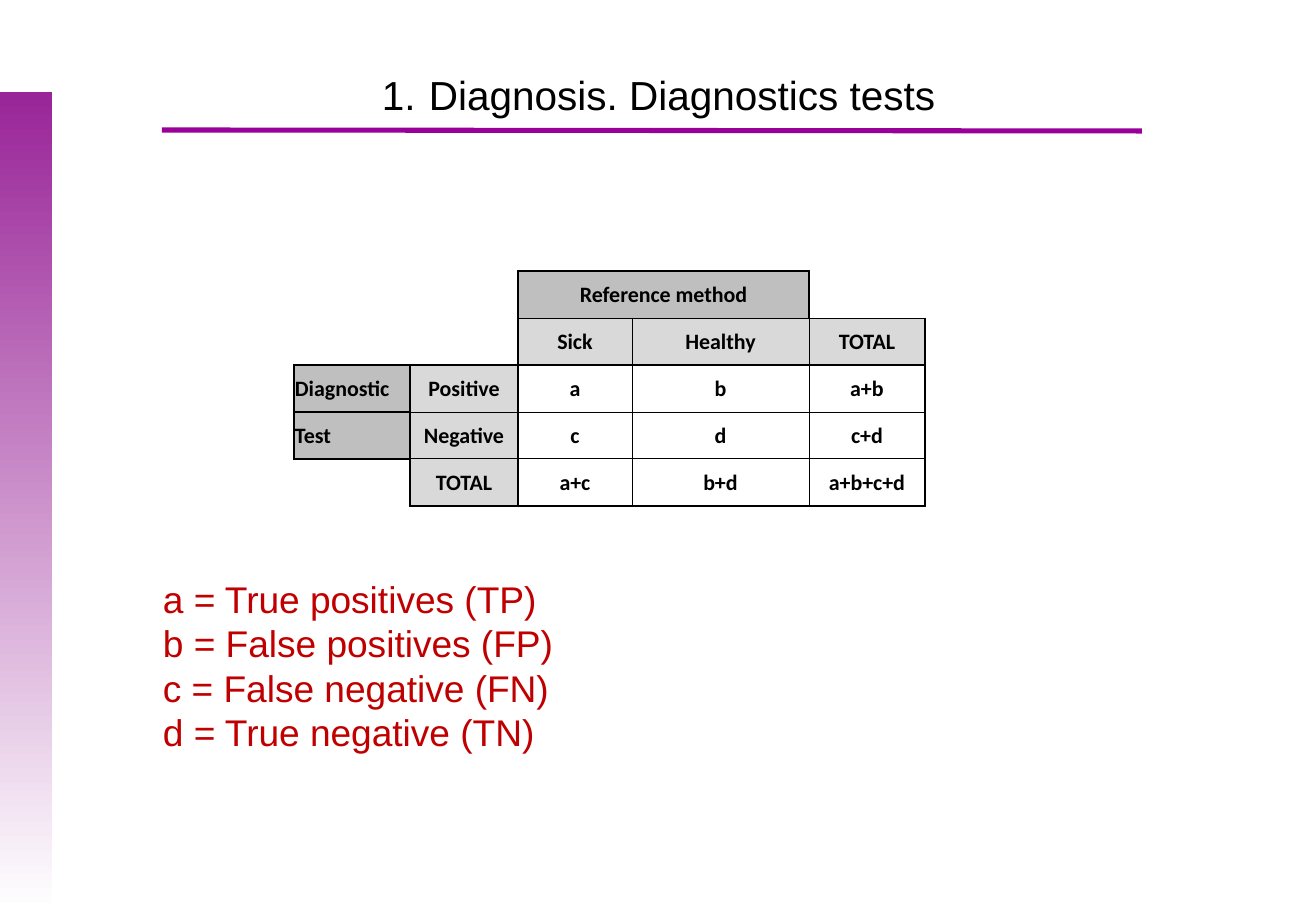
from dataclasses import dataclass

from lxml.etree import SubElement
from pptx import Presentation
from pptx.dml.color import RGBColor
from pptx.enum.shapes import MSO_CONNECTOR, MSO_SHAPE
from pptx.enum.text import MSO_ANCHOR, MSO_AUTO_SIZE, PP_ALIGN
from pptx.oxml.ns import qn
from pptx.slide import Slide
from pptx.table import _Cell
from pptx.text.text import TextFrame
from pptx.util import Emu, Pt

EMU_PER_PX = 7526
BLACK, WHITE, RED = "000000", "FFFFFF", "C00000"
PURPLE, RULE_PURPLE = "992598", "990099"
DARK_GREY, LIGHT_GREY = "BFBFBF", "D9D9D9"
NO_GRID_STYLE = "{2D5ABB26-0587-4C30-8999-92F81FD0307C}"

COLUMN_WIDTHS = (116, 108, 114, 177, 116)
ROW_HEIGHT = 47
CONTINGENCY = (
    ("", "", "Reference method", "", ""),
    ("", "", "Sick", "Healthy", "TOTAL"),
    ("Diagnostic", "Positive", "a", "b", "a+b"),
    ("Test", "Negative", "c", "d", "c+d"),
    ("", "TOTAL", "a+c", "b+d", "a+b+c+d"),
)
LEGEND = (
    "a = True positives (TP)\n"
    "b = False positives (FP)\n"
    "c = False negative (FN)\n"
    "d = True negative (TN)"
)


@dataclass(frozen=True)
class Section:
    """A block of table cells; border widths are in points."""
    rows: range
    columns: range
    fill: str | None = None
    align: PP_ALIGN = PP_ALIGN.CENTER
    top: float = 1
    bottom: float = 1
    inner: float = 0.5


SECTIONS = (
    Section(range(0, 1), range(2, 4), DARK_GREY, bottom=0.5, inner=1),
    Section(range(1, 2), range(2, 5), LIGHT_GREY, top=0.5),
    Section(range(2, 4), range(0, 1), DARK_GREY, PP_ALIGN.LEFT, inner=0),
    Section(range(2, 5), range(1, 2), LIGHT_GREY),
    Section(range(2, 5), range(2, 5)),
)


def px(length: int) -> Emu:
    return Emu(length * EMU_PER_PX)


def rgb(color: str) -> RGBColor:
    return RGBColor.from_string(color)


def write(frame: TextFrame, text: str, *, size: float, font: str = "Arial",
          color: str = BLACK, bold: bool = False,
          align: PP_ALIGN = PP_ALIGN.CENTER, spacing: float = 1.0) -> None:
    frame.text = text
    for paragraph in frame.paragraphs:
        paragraph.alignment = align
        paragraph.line_spacing = spacing
        for run in paragraph.runs:
            run.font.size = Pt(size)
            run.font.name = font
            run.font.bold = bold
            run.font.color.rgb = rgb(color)


def add_text_frame(slide: Slide, left: int, top: int, width: int, height: int) -> TextFrame:
    frame = slide.shapes.add_textbox(px(left), px(top), px(width), px(height)).text_frame
    frame.word_wrap = True
    return frame


def add_side_band(slide: Slide) -> None:
    band = slide.shapes.add_shape(MSO_SHAPE.RECTANGLE, 0, px(92), px(52), px(819))
    band.shadow.inherit = False
    band.line.fill.background()
    band.fill.gradient()
    band.fill.gradient_angle = 270
    for stop, color in zip(band.fill.gradient_stops, (PURPLE, WHITE)):
        stop.color.rgb = rgb(color)


def add_title_rule(slide: Slide) -> None:
    rule = slide.shapes.add_connector(
        MSO_CONNECTOR.STRAIGHT, px(162), px(130), px(1142), px(131))
    rule.line.color.rgb = rgb(RULE_PURPLE)
    rule.line.width = Pt(3)
    SubElement(rule._element.spPr, qn("a:effectLst"))


def add_title(slide: Slide) -> None:
    frame = add_text_frame(slide, 66, 36, 1185, 152)
    frame.margin_top = px(10)
    write(frame, "Diagnosis. Diagnostics tests", size=24, spacing=1.5)
    # Automatic number with a hanging indent
    properties = frame.paragraphs[0]._p.get_or_add_pPr()
    properties.set("marL", str(px(47)))
    properties.set("indent", str(-px(47)))
    SubElement(properties, qn("a:buAutoNum"), type="arabicPeriod")


def set_border(cell: _Cell, side: str, width: float) -> None:
    if not width:
        return
    line = SubElement(cell._tc.get_or_add_tcPr(), qn(f"a:ln{side}"), w=str(Pt(width)))
    fill = SubElement(line, qn("a:solidFill"))
    SubElement(fill, qn("a:srgbClr"), val=BLACK)


def format_cell(cell: _Cell, section: Section, row: int, column: int, text: str) -> None:
    rows, columns = section.rows, section.columns
    set_border(cell, "L", 1 if column == columns[0] else section.inner)
    set_border(cell, "R", 1 if column == columns[-1] else section.inner)
    set_border(cell, "T", section.top if row == rows[0] else section.inner)
    set_border(cell, "B", section.bottom if row == rows[-1] else section.inner)
    if section.fill:
        cell.fill.solid()
        cell.fill.fore_color.rgb = rgb(section.fill)
    else:
        cell.fill.background()
    if text:
        write(cell.text_frame, text, size=13, font="Calibri", bold=True,
              align=section.align)


def add_contingency_table(slide: Slide) -> None:
    row_count = len(CONTINGENCY)
    table = slide.shapes.add_table(
        row_count, len(COLUMN_WIDTHS), px(294), px(271),
        px(sum(COLUMN_WIDTHS)), px(ROW_HEIGHT * row_count)).table
    table.first_row = table.horz_banding = False
    table._tbl.tblPr.find(qn("a:tableStyleId")).text = NO_GRID_STYLE
    for column, width in zip(table.columns, COLUMN_WIDTHS):
        column.width = px(width)
    for cell in table.iter_cells():
        cell.margin_left = cell.margin_right = cell.margin_top = px(1)
        cell.margin_bottom = 0
        cell.vertical_anchor = MSO_ANCHOR.MIDDLE
    table.cell(0, 2).merge(table.cell(0, 3))
    for section in SECTIONS:
        for row in section.rows:
            for column in section.columns:
                format_cell(table.cell(row, column), section, row, column,
                            CONTINGENCY[row][column])


def add_legend(slide: Slide) -> None:
    frame = add_text_frame(slide, 151, 570, 1056, 192)
    frame.auto_size = MSO_AUTO_SIZE.SHAPE_TO_FIT_TEXT
    write(frame, LEGEND, size=22, color=RED, align=PP_ALIGN.JUSTIFY)


def main() -> None:
    presentation = Presentation()
    presentation.slide_width, presentation.slide_height = px(1316), px(911)
    slide = presentation.slides.add_slide(presentation.slide_layouts[6])
    # Frame of the slide
    add_side_band(slide)
    add_title_rule(slide)
    # Content
    add_title(slide)
    add_legend(slide)
    add_contingency_table(slide)
    presentation.save("out.pptx")


if __name__ == "__main__":
    main()
